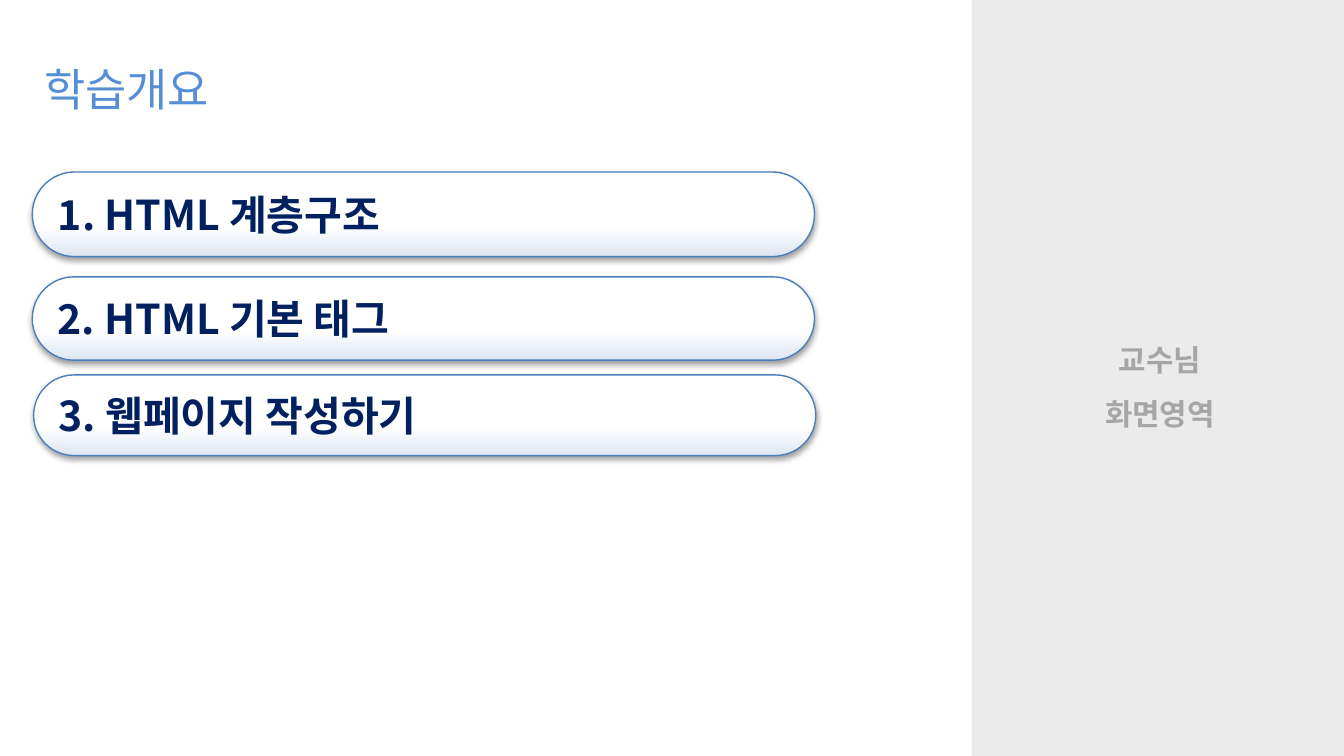
import pptx
import pptx.dml.color
import pptx.enum.shapes
import pptx.enum.text
import pptx.oxml
import pptx.oxml.ns
import pptx.util
from pptx.util import Inches

RGBColor = pptx.dml.color.RGBColor
SHAPE = pptx.enum.shapes.MSO_SHAPE
ALIGN = pptx.enum.text.PP_ALIGN
ANCHOR = pptx.enum.text.MSO_ANCHOR
qn = pptx.oxml.ns.qn

TITLE_BLUE = RGBColor(0x55, 0x8E, 0xD5)
NAVY = RGBColor(0x00, 0x20, 0x60)
OUTLINE_BLUE = RGBColor(0x4B, 0x7E, 0xBC)
PANEL_GRAY = RGBColor(0xD9, 0xD9, 0xD9)
LABEL_GRAY = RGBColor(0xA6, 0xA6, 0xA6)
PALE_BLUE = RGBColor(0xDC, 0xE6, 0xF2)
WHITE = RGBColor(0xFF, 0xFF, 0xFF)
BLACK = RGBColor(0x00, 0x00, 0x00)

KOREAN_FONT = "Noto Sans CJK KR"
NS = pptx.oxml.ns.nsdecls("a")

# Text, left, top, height
TOPICS = [
    ("1. HTML 계층구조", 0.24, 1.28, 0.63),
    ("2. HTML 기본 태그", 0.24, 2.06, 0.62),
    ("3. 웹페이지 작성하기", 0.25, 2.79, 0.6),
]


def style_paragraph(p, name, size, color, bold=False, align=ALIGN.LEFT):
    p.alignment = align
    p.font.size = pptx.util.Pt(size)
    p.font.bold = bold
    p.font.color.rgb = color
    p.font.name = name
    # Korean letters use the East Asian font slot
    props = p._p.pPr.find(qn("a:defRPr"))
    props.append(pptx.oxml.parse_xml(f'<a:ea {NS} typeface="{name}"/>'))


def add_panel(slide, height):
    s = slide.shapes.add_shape(SHAPE.RECTANGLE, Inches(7.23), 0,
                               Inches(2.8), height)
    s.shadow.inherit = False
    s.line.fill.background()
    s.fill.solid()
    s.fill.fore_color.rgb = PANEL_GRAY
    color = s._element.spPr.find(qn("a:solidFill"))[0]
    color.append(pptx.oxml.parse_xml(f'<a:alpha {NS} val="50000"/>'))
    tf = s.text_frame
    tf.vertical_anchor = ANCHOR.MIDDLE
    tf.text = "교수님\n화면영역"
    for p in tf.paragraphs:
        p.line_spacing = 1.5
        style_paragraph(p, "Arial", 16, LABEL_GRAY, True, ALIGN.CENTER)


def add_title(slide, text):
    s = slide.shapes.add_textbox(Inches(0.23), Inches(0.37),
                                 Inches(6.68), Inches(0.51))
    tf = s.text_frame
    tf.word_wrap = True
    tf.text = text
    p = tf.paragraphs[0]
    p.line_spacing = 1.1
    style_paragraph(p, KOREAN_FONT, 24, TITLE_BLUE)


def set_gradient(s, stops):
    """Fill from bottom to top with (percent, colour) stops."""
    gs = "".join(f'<a:gs pos="{pos * 1000}"><a:srgbClr val="{color}"/></a:gs>'
                 for pos, color in stops)
    fill = pptx.oxml.parse_xml(
        f'<a:gradFill {NS} rotWithShape="1"><a:gsLst>{gs}</a:gsLst>'
        '<a:lin ang="16200000" scaled="0"/></a:gradFill>')
    s._element.spPr.find(qn("a:prstGeom")).addnext(fill)


def set_shadow(s):
    blur, distance = pptx.util.Pt(3.1), pptx.util.Pt(1.6)
    s._element.spPr.append(pptx.oxml.parse_xml(
        f'<a:effectLst {NS}><a:outerShdw blurRad="{blur}" dist="{distance}" '
        f'dir="5400000" rotWithShape="0"><a:srgbClr val="{BLACK}">'
        '<a:alpha val="38000"/></a:srgbClr></a:outerShdw></a:effectLst>'))


def add_topic(slide, text, left, top, height):
    s = slide.shapes.add_shape(SHAPE.ROUNDED_RECTANGLE, Inches(left),
                               Inches(top), Inches(5.82), Inches(height))
    s.adjustments[0] = 0.5
    s.line.color.rgb = OUTLINE_BLUE
    s.line.width = pptx.util.Pt(0.75)
    set_gradient(s, [(0, PALE_BLUE), (35, WHITE), (100, WHITE)])
    set_shadow(s)
    tf = s.text_frame
    tf.vertical_anchor = ANCHOR.MIDDLE
    tf.text = text
    style_paragraph(tf.paragraphs[0], KOREAN_FONT, 22, NAVY, True)


def main():
    # Widescreen page, 16:9
    prs = pptx.Presentation()
    prs.slide_width = Inches(10)
    prs.slide_height = prs.slide_width * 9 // 16
    slide = prs.slides.add_slide(prs.slide_layouts[6])

    # Side area for the lecturer
    add_panel(slide, prs.slide_height)

    # Heading and list of topics
    add_title(slide, "학습개요")
    for topic in TOPICS:
        add_topic(slide, *topic)

    prs.save("out.pptx")


if __name__ == "__main__":
    main()
